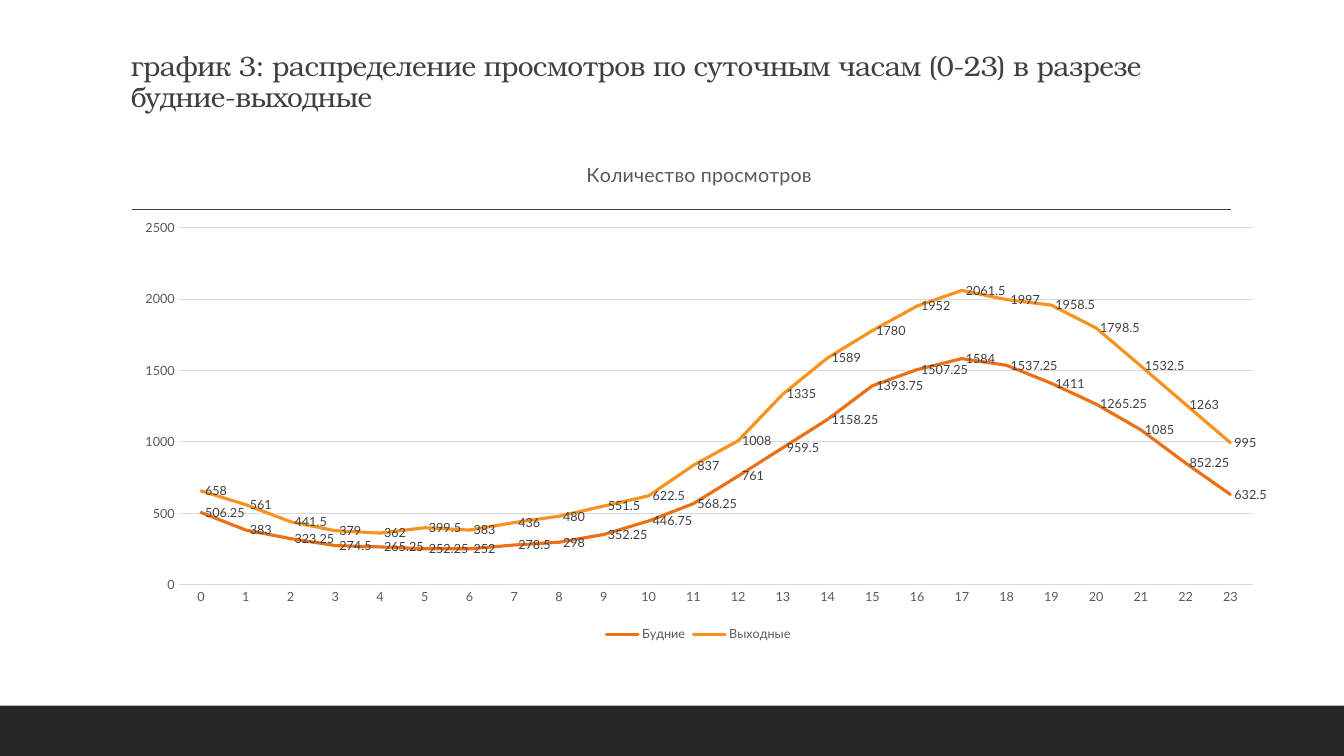
from lxml import etree
from pptx import Presentation
from pptx.chart.data import CategoryChartData
from pptx.dml.color import RGBColor
from pptx.enum.chart import XL_CHART_TYPE, XL_LABEL_POSITION, XL_LEGEND_POSITION, XL_TICK_MARK
from pptx.enum.shapes import MSO_CONNECTOR, MSO_SHAPE
from pptx.enum.text import MSO_ANCHOR
from pptx.oxml import parse_xml
from pptx.oxml.ns import nsdecls, qn
from pptx.util import Pt

LINE_CHART = XL_CHART_TYPE.LINE
LABEL_RIGHT = XL_LABEL_POSITION.RIGHT
LEGEND_BOTTOM = XL_LEGEND_POSITION.BOTTOM
NO_TICK = XL_TICK_MARK.NONE
STRAIGHT = MSO_CONNECTOR.STRAIGHT
RECTANGLE = MSO_SHAPE.RECTANGLE
BOTTOM = MSO_ANCHOR.BOTTOM

COLORS = {
    "footer": "262626",
    "text": "404040",
    "axis": "595959",
    "grid": "D9D9D9",
    "weekdays": "EC7016",
    "weekends": "F8931D",
}
HEADING_FONT = "TeX Gyre Bonum"
BODY_FONT = "Lato"

VIEWS = {
    "Будние": ("weekdays", [
        506.25, 383, 323.25, 274.5, 265.25, 252.25, 252, 278.5, 298, 352.25, 446.75, 568.25,
        761, 959.5, 1158.25, 1393.75, 1507.25, 1584, 1537.25, 1411, 1265.25, 1085, 852.25, 632.5]),
    "Выходные": ("weekends", [
        658, 561, 441.5, 379, 362, 399.5, 383, 436, 480, 551.5, 622.5, 837,
        1008, 1335, 1589, 1780, 1952, 2061.5, 1997, 1958.5, 1798.5, 1532.5, 1263, 995]),
}


def apply(target, **values):
    for name, value in values.items():
        setattr(target, name, value)


class SlideBuilder:
    def __init__(self, slide):
        self.slide = slide
        self.shapes = slide.shapes

    def color(self, name):
        return RGBColor.from_string(COLORS[name])

    def style_font(self, font, size, color, name=BODY_FONT):
        apply(font, size=Pt(size), name=name, bold=False)
        font.color.rgb = self.color(color)

    def style_line(self, line, color, width):
        line.color.rgb = self.color(color)
        line.width = Pt(width)

    def bar(self, left, top, width, height, color):
        bar = self.shapes.add_shape(RECTANGLE, Pt(left), Pt(top), Pt(width), Pt(height))
        bar.shadow.inherit = False
        bar.fill.solid()
        bar.fill.fore_color.rgb = self.color(color)
        bar.line.fill.background()

    def rule(self, left, right, y, color, width):
        rule = self.shapes.add_connector(STRAIGHT, Pt(left), Pt(y), Pt(right), Pt(y))
        self.style_line(rule.line, color, width)
        etree.SubElement(rule._element.spPr, qn("a:effectLst"))

    def heading(self, text, left, top, width, height):
        frame = self.shapes.add_textbox(Pt(left), Pt(top), Pt(width), Pt(height)).text_frame
        apply(frame, word_wrap=True, vertical_anchor=BOTTOM)
        paragraph = frame.paragraphs[0]
        paragraph.line_spacing = 0.9
        run = paragraph.add_run()
        run.text = text
        self.style_font(run.font, 20, "text", HEADING_FONT)
        run._r.get_or_add_rPr().set("spc", "-50")

    def place(self, element, successors, **fractions):
        """Give a chart title or plot area a fixed place, in fractions of the chart."""
        for auto in element.findall(qn("c:layout")):
            element.remove(auto)
        target = '<c:layoutTarget val="inner"/>' if "w" in fractions else ""
        modes = "".join(f'<c:{key}Mode val="edge"/>' for key in ("x", "y"))
        values = "".join(f'<c:{key} val="{value}"/>' for key, value in fractions.items())
        layout = parse_xml(f'<c:layout {nsdecls("c")}><c:manualLayout>{target}{modes}{values}'
                           '</c:manualLayout></c:layout>')
        element.insert_element_before(layout, *successors)

    def line_chart(self, title, views, left, top, width, height):
        data = CategoryChartData()
        data.categories = [str(hour) for hour in range(24)]
        for name, (_, values) in views.items():
            data.add_series(name, values)
        chart = self.shapes.add_chart(
            LINE_CHART, Pt(left), Pt(top), Pt(width), Pt(height), data).chart
        self.style_font(chart.font, 10, "text")

        # Chart title and plot area
        chart.has_title = True
        caption = chart.chart_title.text_frame
        caption.text = title
        self.style_font(caption.paragraphs[0].runs[0].font, 14, "axis")
        chart.chart_title.include_in_layout = False
        self.place(chart.chart_title._element, ("c:overlay",), x=0.4, y=0.04)
        plot_area = chart._chartSpace.chart.plotArea
        self.place(plot_area, ("c:lineChart",), x=0.05, y=0.18, w=0.93, h=0.7)

        # Axes
        for axis in (chart.category_axis, chart.value_axis):
            apply(axis, major_tick_mark=NO_TICK, minor_tick_mark=NO_TICK)
            self.style_font(axis.tick_labels.font, 9, "axis")
        self.style_line(chart.category_axis.format.line, "grid", 0.75)
        hits = chart.value_axis
        apply(hits, minimum_scale=0, maximum_scale=2500, major_unit=500, has_major_gridlines=True)
        hits.format.line.fill.background()
        self.style_line(hits.major_gridlines.format.line, "grid", 0.75)

        # Legend
        chart.has_legend = True
        apply(chart.legend, position=LEGEND_BOTTOM, include_in_layout=False)
        self.style_font(chart.legend.font, 9, "axis")

        # Series
        chart.plots[0].vary_by_categories = False
        for series, (color, _) in zip(chart.plots[0].series, views.values()):
            series.smooth = False
            self.style_line(series.format.line, color, 2.25)
            series.format.line._get_or_add_ln().set("cap", "rnd")
            labels = series.data_labels
            apply(labels, show_value=True, position=LABEL_RIGHT,
                  number_format="General", number_format_is_linked=False)
            self.style_font(labels.font, 9, "text")


def main():
    presentation = Presentation()
    apply(presentation, slide_width=Pt(960), slide_height=Pt(540))
    builder = SlideBuilder(presentation.slides.add_slide(presentation.slide_layouts[6]))

    # Footer band and rule
    builder.bar(0, 504, 960, 36, "footer")
    builder.rule(94.3, 879, 149.5, "text", 1)

    # Heading and chart
    builder.heading("график 3: распределение просмотров по суточным часам (0-23) "
                    "в разрезе будние-выходные", 86.4, 22.3, 792, 62)
    builder.line_chart("Количество просмотров", VIEWS, 86.4, 97.2, 825, 364.3)

    presentation.save("out.pptx")


if __name__ == "__main__":
    main()
